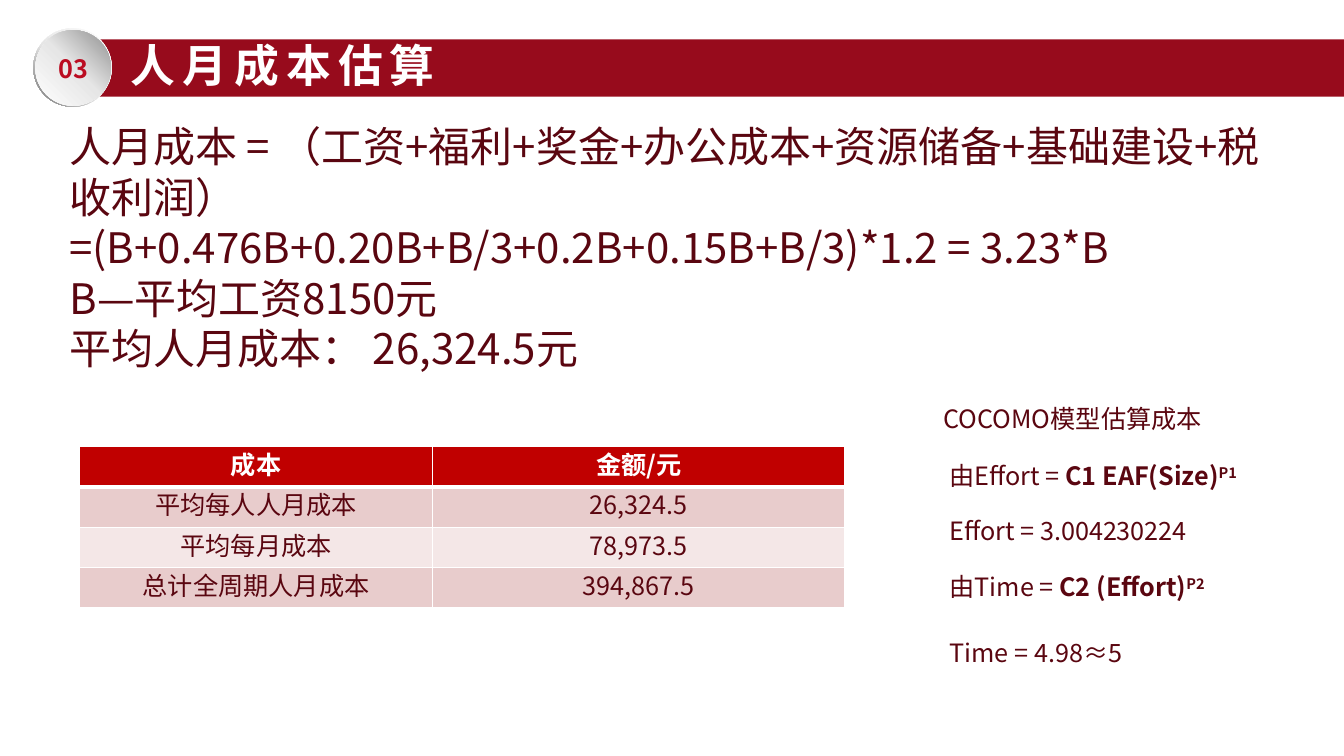
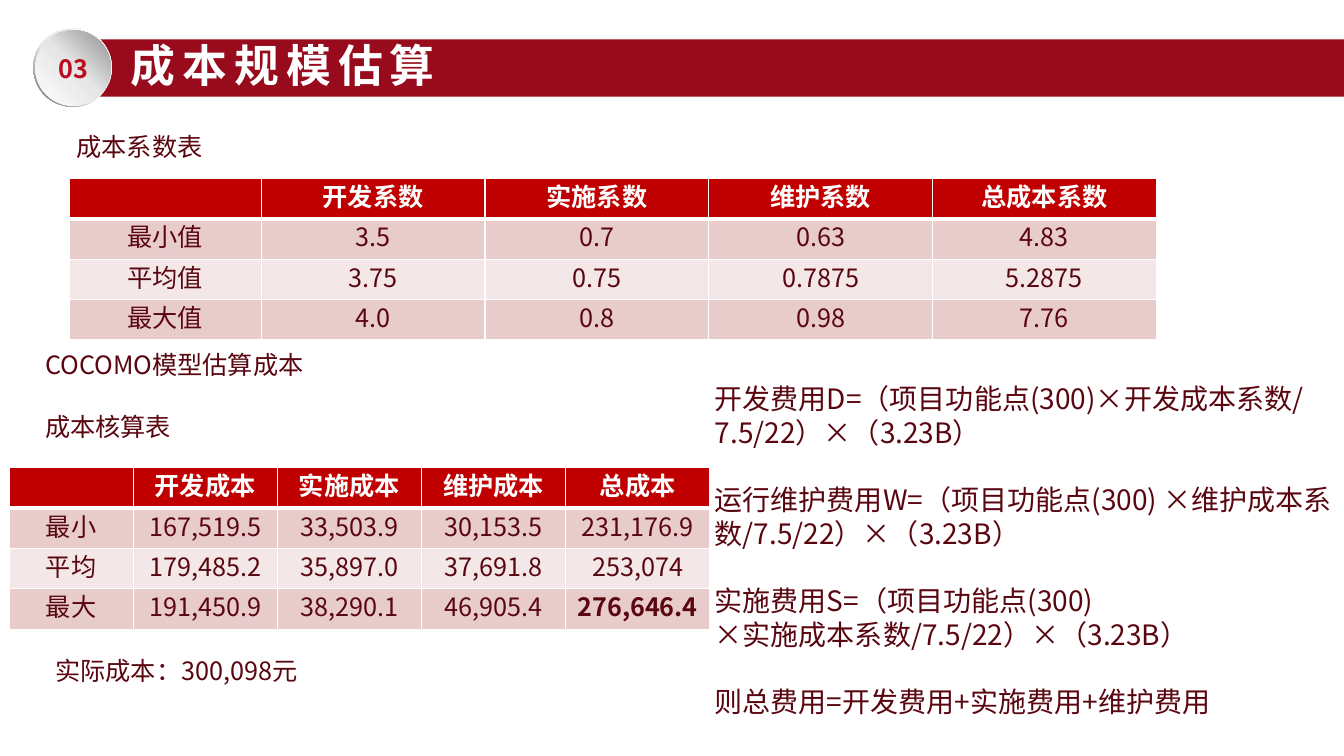
import pptx
import pptx.util
import pptx.dml.color
import pptx.enum.shapes
import pptx.enum.text
import pptx.oxml.ns
from lxml import etree

# Shared look
FONT = "Noto Sans CJK SC"
WHITE, DARK, RED = "FFFFFF", "5A0610", "BB0C21"
BAND, HEAD, ODD, EVEN = "970B1C", "C00000", "E8CCCC", "F4E7E7"
LEADING = 1.2
ROW = 0.4
Inches, Pt = pptx.util.Inches, pptx.util.Pt
SHAPE = pptx.enum.shapes.MSO_SHAPE
CENTER = pptx.enum.text.PP_ALIGN.CENTER
MIDDLE = pptx.enum.text.MSO_ANCHOR.MIDDLE
qn = pptx.oxml.ns.qn
color = pptx.dml.color.RGBColor.from_string


def write(frame, paras, size=18, ink=DARK, bold=False, align=None, gap=0, track=0):
    """Each paragraph is a list of (text, style); style b is bold, s is superscript."""
    frame.word_wrap = True
    for i, runs in enumerate(paras):
        para = frame.paragraphs[0] if i == 0 else frame.add_paragraph()
        para.line_spacing = Pt(size * LEADING)
        para.alignment = align
        if i and gap:
            para.space_before = Pt(gap)
        for text, style in runs:
            run = para.add_run()
            run.text = text
            font = run.font
            font.name, font.size = FONT, Pt(size)
            font.bold = bold or "b" in style
            font.color.rgb = color(ink)
            props = run._r.get_or_add_rPr()
            etree.SubElement(props, qn("a:ea")).set("typeface", FONT)
            if "s" in style:
                props.set("baseline", "30000")
            if track:
                props.set("spc", str(track * 100))


def draw(slide, kind, box, fill):
    """Add a shape; fill is a colour or (angle, stops)."""
    shape = slide.shapes.add_shape(kind, *map(Inches, box))
    shape.shadow.inherit = False
    shape.line.fill.background()
    if isinstance(fill, str):
        shape.fill.solid()
        shape.fill.fore_color.rgb = color(fill)
        return shape
    angle, stops = fill
    shape.fill.gradient()
    grad = shape._element.spPr.find(qn("a:gradFill"))
    for part in list(grad):
        grad.remove(part)
    ramp = etree.SubElement(grad, qn("a:gsLst"))
    for spot, tint in stops:
        stop = etree.SubElement(ramp, qn("a:gs"), pos=str(spot * 1000))
        etree.SubElement(stop, qn("a:srgbClr"), val=tint)
    etree.SubElement(grad, qn("a:lin"), ang=str(angle * 60000), scaled="0")
    return shape


# Content: notes are (left, top, width, size, gap, paragraphs),
# grids are (left, top, column widths, rows)
PAGES = [
    {
        "title": "人月成本估算",
        "notes": [
            (9.26, 3.95, 4.07, 18, 0, [[("COCOMO模型估算成本", "")]]),
            (9.32, 4.52, 3.38, 18, 0,
             [[("由Effort = ", ""), ("C1 EAF(Size)", "b"), ("P1", "bs")]]),
            (9.32, 5.06, 4, 18, 0, [[("Effort = 3.004230224", "")]]),
            (9.32, 5.62, 4, 18, 0,
             [[("由Time =", ""), (" C2 (Effort)", "b"), ("P2", "bs")]]),
            (9.32, 6.27, 4, 18, 0, [[("Time = 4.98≈5", "")]]),
            (0.59, 1.15, 12.08, 30, 0, [
                [("人月成本 = （工资+福利+奖金+办公成本+资源储备+基础建设+税收利润）", "")],
                [("=(B+0.476B+0.20B+B/3+0.2B+0.15B+B/3)*1.2 = 3.23*B", "")],
                [("B—平均工资8150元", "")],
                [("平均人月成本： 26,324.5元", "")],
            ]),
        ],
        "grids": [
            (0.79, 4.43, [3.5, 4.09], [
                ["成本", "金额/元"],
                ["平均每人人月成本", "26,324.5"],
                ["平均每月成本", "78,973.5"],
                ["总计全周期人月成本", "394,867.5"],
            ]),
        ],
    },
    {
        "title": "成本规模估算",
        "notes": [
            (0.35, 3.42, 4.44, 18, 0, [[("COCOMO模型估算成本", "")]]),
            (6.99, 3.74, 6.35, 20, 24, [
                [("开发费用D=（项目功能点(300)×开发成本系数/7.5/22）×（3.23B）", "")],
                [("运行维护费用W=（项目功能点(300) ×维护成本系数/7.5/22）×（3.23B）", "")],
                [("实施费用S=（项目功能点(300) ×实施成本系数/7.5/22）×（3.23B）", "")],
                [("则总费用=开发费用+实施费用+维护费用", "")],
            ]),
            (0.66, 1.25, 4.44, 18, 0, [[("成本系数表", "")]]),
            (0.35, 4.03, 2.46, 18, 0, [[("成本核算表", "")]]),
            (0.45, 6.45, 4.44, 18, 0, [[("实际成本：300,098元", "")]]),
        ],
        "grids": [
            (0.69, 1.77, [1.9] + [2.22] * 4, [
                ["", "开发系数", "实施系数", "维护系数", "总成本系数"],
                ["最小值", "3.5", "0.7", "0.63", "4.83"],
                ["平均值", "3.75", "0.75", "0.7875", "5.2875"],
                ["最大值", "4.0", "0.8", "0.98", "7.76"],
            ]),
            (0.09, 4.64, [1.23] + [1.43] * 4, [
                ["", "开发成本", "实施成本", "维护成本", "总成本"],
                ["最小", "167,519.5", "33,503.9", "30,153.5", "231,176.9"],
                ["平均", "179,485.2", "35,897.0", "37,691.8", "253,074"],
                ["最大", "191,450.9", "38,290.1", "46,905.4", "276,646.4"],
            ]),
        ],
    },
]
STRONG = {"276,646.4"}

deck = pptx.Presentation()
deck.slide_width, deck.slide_height = Inches(13.33), Inches(7.5)

for page in PAGES:
    slide = deck.slides.add_slide(deck.slide_layouts[6])

    # Title band
    draw(slide, SHAPE.RECTANGLE, (0.79, 0.39, 12.54, 0.57), BAND)
    title = slide.shapes.add_textbox(*map(Inches, (1.2, 0.33, 4.74, 0.64)))
    write(title.text_frame, [[(page["title"], "")]], 32, WHITE, True, track=5)

    # Numbered badge
    ring = draw(slide, SHAPE.DONUT, (0.33, 0.28, 0.78, 0.78),
                (135, [(0, WHITE), (55, "E6E6E6"), (100, "6C6C6C")]))
    ring.adjustments[0] = 0.05
    badge = draw(slide, SHAPE.OVAL, (0.35, 0.3, 0.75, 0.75),
                 (315, [(0, WHITE), (51, "E6E6E6"), (100, "8F8F8F")]))
    badge.text_frame.vertical_anchor = MIDDLE
    write(badge.text_frame, [[("03", "")]], 18, RED, True, CENTER)

    # Text notes
    for left, top, width, size, gap, paras in page["notes"]:
        note = slide.shapes.add_textbox(*map(Inches, (left, top, width, ROW)))
        note.text_frame.auto_size = pptx.enum.text.MSO_AUTO_SIZE.SHAPE_TO_FIT_TEXT
        write(note.text_frame, paras, size, gap=gap)

    # Tables
    for left, top, widths, rows in page["grids"]:
        area = map(Inches, (left, top, sum(widths), ROW * len(rows)))
        grid = slide.shapes.add_table(len(rows), len(widths), *area).table
        grid.horz_banding = False
        for col, width in zip(grid.columns, widths):
            col.width = Inches(width)
        for r, row in enumerate(rows):
            grid.rows[r].height = Inches(ROW)
            for c, text in enumerate(row):
                cell = grid.cell(r, c)
                cell.fill.solid()
                cell.fill.fore_color.rgb = color(HEAD if r == 0 else ODD if r % 2 else EVEN)
                runs = [(text, "b" if text in STRONG else "")] if text else []
                write(cell.text_frame, [runs], 18, DARK if r else WHITE, r == 0, CENTER)
                props = cell._tc.get_or_add_tcPr()
                for i, side in enumerate("LRTB"):
                    thick = (r == 0 and side == "B") or (r == 1 and side == "T")
                    edge = etree.Element(qn("a:ln" + side), w=str(Pt(3 if thick else 1)))
                    paint = etree.SubElement(edge, qn("a:solidFill"))
                    etree.SubElement(paint, qn("a:srgbClr"), val=WHITE)
                    props.insert(i, edge)

deck.save("out.pptx")
